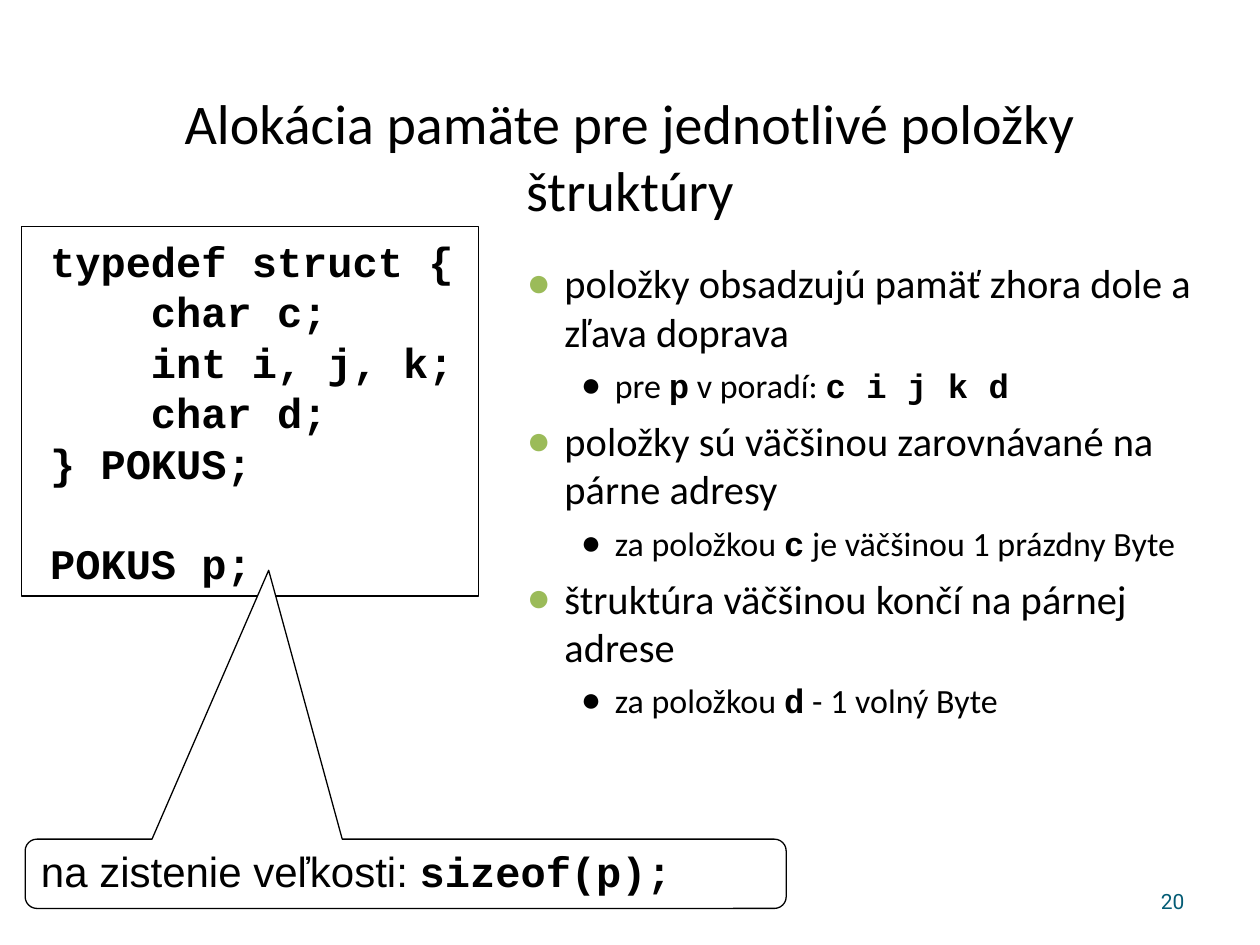
from lxml.etree import SubElement
from pptx import Presentation
from pptx.dml.color import RGBColor
from pptx.enum.shapes import MSO_SHAPE
from pptx.enum.text import MSO_ANCHOR, MSO_AUTO_SIZE, PP_ALIGN
from pptx.oxml.ns import qn
from pptx.util import Inches, Pt

BLACK = RGBColor(0x00, 0x00, 0x00)
WHITE = RGBColor(0xFF, 0xFF, 0xFF)
GREEN = RGBColor(0x9B, 0xBB, 0x59)
TEAL = RGBColor(0x04, 0x5C, 0x75)
CODE_FONT = "Courier New"


def add_run(paragraph, text, size, font="Calibri", bold=False, color=BLACK):
    run = paragraph.add_run()
    run.text = text
    run.font.size = Pt(size)
    run.font.name = font
    run.font.bold = bold
    run.font.color.rgb = color


def add_box(shapes, kind, left, top, width, height):
    shape = shapes.add_shape(kind, Inches(left), Inches(top), Inches(width), Inches(height))
    shape.shadow.inherit = False
    shape.fill.solid()
    shape.fill.fore_color.rgb = WHITE
    shape.line.color.rgb = BLACK
    shape.line.width = Pt(0.75)
    return shape


presentation = Presentation()
presentation.slide_width = Inches(10)
presentation.slide_height = Inches(7.5)
slide = presentation.slides.add_slide(presentation.slide_layouts[1])

title = slide.shapes.title
title.left, title.top, title.width, title.height = Inches(0.5), Inches(0.77), Inches(9), Inches(0.93)
title.text_frame.auto_size = MSO_AUTO_SIZE.NONE
title.text_frame.vertical_anchor = MSO_ANCHOR.MIDDLE
title_paragraph = title.text_frame.paragraphs[0]
title_paragraph.alignment = PP_ALIGN.CENTER
add_run(title_paragraph, "Alokácia pamäte pre jednotlivé položky štruktúry", 32)

body = slide.placeholders[1]
body.left, body.top, body.width, body.height = Inches(4.08), Inches(2), Inches(5.74), Inches(4.3)
body.text_frame.auto_size = MSO_AUTO_SIZE.NONE

LEVELS = [
    {"size": 23.1, "before": 6.2, "margin": 0.3, "indent": -0.3, "bullet": GREEN},
    {"size": 19.4, "before": 5.2, "margin": 0.7, "indent": -0.27, "bullet": BLACK},
]
ITEMS = [
    (0, ["položky obsadzujú pamäť zhora dole a zľava doprava"]),
    (1, ["pre ", "p", " v poradí: ", "c i j k d"]),
    (0, ["položky sú väčšinou zarovnávané na párne adresy"]),
    (1, ["za položkou ", "c", " je väčšinou 1 prázdny Byte"]),
    (0, ["štruktúra väčšinou končí na párnej adrese"]),
    (1, ["za položkou ", "d", " - 1 volný Byte"]),
]
for index, (level, pieces) in enumerate(ITEMS):
    style = LEVELS[level]
    paragraph = body.text_frame.add_paragraph() if index else body.text_frame.paragraphs[0]
    paragraph.level = level
    paragraph.space_before = Pt(style["before"] if index else 0)
    properties = paragraph._p.get_or_add_pPr()
    properties.set("marL", str(Inches(style["margin"])))
    properties.set("indent", str(Inches(style["indent"])))
    bullet_color = SubElement(properties, qn("a:buClr"))
    SubElement(bullet_color, qn("a:srgbClr"), val=str(style["bullet"]))
    SubElement(properties, qn("a:buFont"), typeface="Arial")
    SubElement(properties, qn("a:buChar"), char="●")
    for position, piece in enumerate(pieces):
        is_code = position % 2 == 1
        add_run(paragraph, piece, style["size"], font=CODE_FONT if is_code else "Calibri", bold=is_code)

number_box = slide.shapes.add_textbox(Inches(7.17), Inches(6.95), Inches(2.33), Inches(0.4))
number_box.text_frame.word_wrap = True
number_box.text_frame.vertical_anchor = MSO_ANCHOR.MIDDLE
number_paragraph = number_box.text_frame.paragraphs[0]
number_paragraph.alignment = PP_ALIGN.RIGHT
add_run(number_paragraph, "20", 12, font="Roboto", color=TEAL)

add_box(slide.shapes, MSO_SHAPE.RECTANGLE, 0.17, 1.8, 3.63, 2.93)

CODE_LINES = [
    "typedef struct {",
    "    char c;",
    "    int i, j, k;",
    "    char d;",
    "} POKUS;",
    "POKUS p;",
]
code_box = slide.shapes.add_textbox(Inches(0.3), Inches(1.82), Inches(3.4), Inches(3.3))
code_box.text_frame.word_wrap = False
for index, line in enumerate(CODE_LINES):
    paragraph = code_box.text_frame.add_paragraph() if index else code_box.text_frame.paragraphs[0]
    add_run(paragraph, line, 24, font=CODE_FONT, bold=True)
paragraph.space_before = Pt(28.8)

callout = add_box(slide.shapes, MSO_SHAPE.ROUNDED_RECTANGULAR_CALLOUT, 0.2, 6.66, 6.04, 0.55)
for index, adjustment in enumerate([-0.18, -4.38, 0.17]):
    callout.adjustments[index] = adjustment
callout.text_frame.word_wrap = True
callout.text_frame.vertical_anchor = MSO_ANCHOR.MIDDLE
callout_paragraph = callout.text_frame.paragraphs[0]
callout_paragraph.alignment = PP_ALIGN.LEFT
callout_paragraph.line_spacing = 0.9
add_run(callout_paragraph, "na zistenie veľkosti: ", 24, font="Arial")
add_run(callout_paragraph, "sizeof(p);", 24, font=CODE_FONT, bold=True)

presentation.save("out.pptx")
